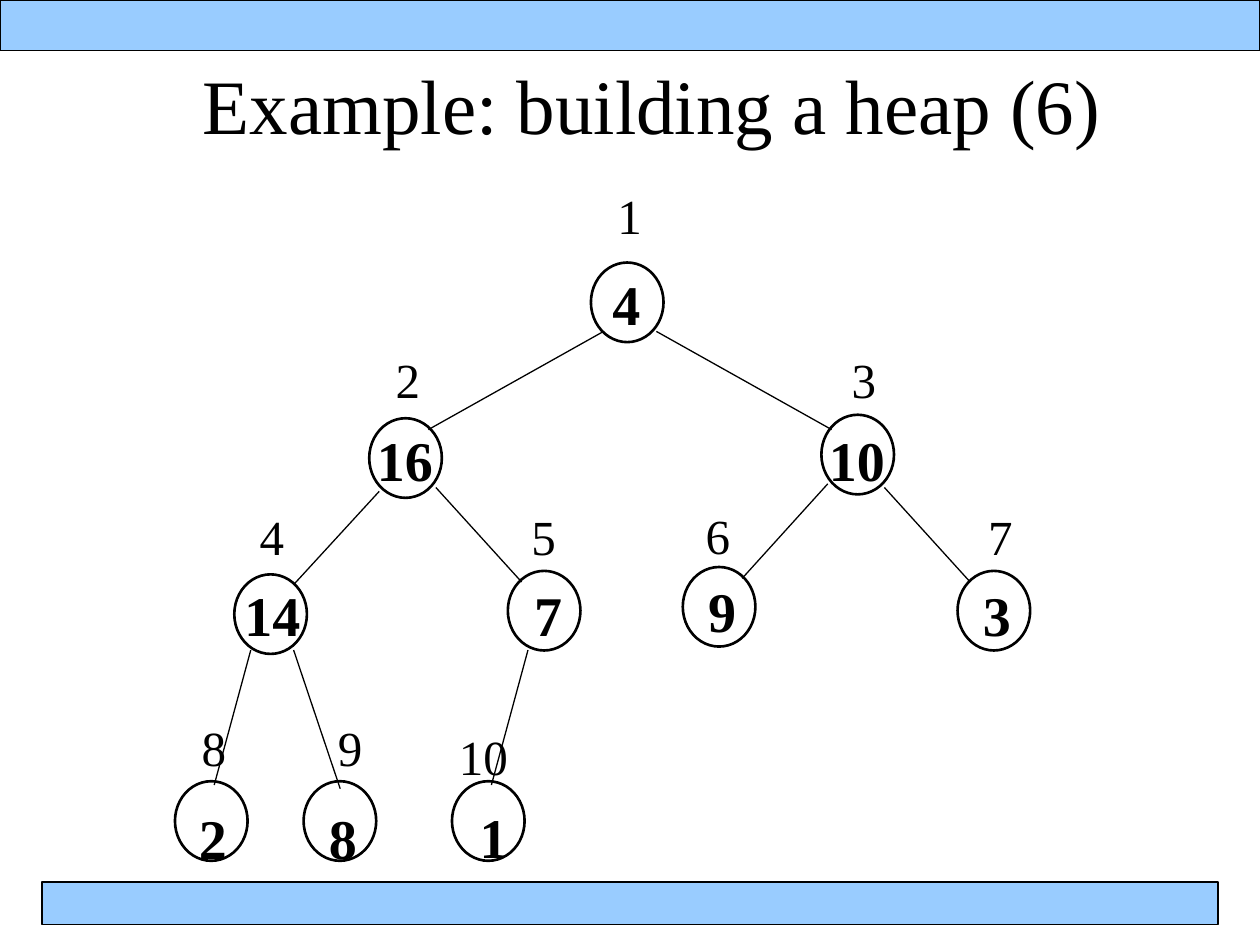
"""Build a slide that shows one step of building a heap."""
from typing import NamedTuple

from lxml import etree
from pptx import Presentation
from pptx.dml.color import RGBColor
from pptx.enum.shapes import MSO_CONNECTOR, MSO_SHAPE
from pptx.enum.text import PP_ALIGN
from pptx.oxml.ns import qn
from pptx.util import Pt

OVAL, RECTANGLE = MSO_SHAPE.OVAL, MSO_SHAPE.RECTANGLE
STRAIGHT = MSO_CONNECTOR.STRAIGHT
LEFT, RIGHT = PP_ALIGN.LEFT, PP_ALIGN.RIGHT

BLACK, BAND_BLUE = "000000", "99CCFF"
NODE_SIZE = (41.5, 45.5)
TITLE_FONT = {"name": "Times New Roman", "size": Pt(44), "bold": False}
INDEX_FONT = {"name": "Times New Roman", "size": Pt(28), "bold": False}
KEY_FONT = {"name": "Times New Roman", "size": Pt(32), "bold": True}


class Node(NamedTuple):
    """A heap node: its circle, its label box and the label spacing."""
    index: str
    key: str
    circle: tuple
    label: tuple
    indents: tuple
    inset: float
    gap: float
    spacing: float = 1.0
    align: int = LEFT


NODES = [
    Node("1", "4", (337.7, 150), (349.2, 92.2, 18.7, 101), (3.6, 0.7), 13.7, 14.3),
    Node("2", "16", (211, 239), (214.6, 189.4, 33.8, 93), (11.5, 0.7), 10.1, 10.1),
    Node("3", "10", (469.4, 237), (473, 189.4, 33.8, 93), (13.7, 0.7), 10.1, 10.1),
    Node("4", "14", (133.9, 328.2), (139, 280, 33.8, 91.4), (9.4, 0.7), 9.2, 9.2),
    Node("5", "7", (290.2, 326.2), (303, 280, 18.7, 91.4), (0.7, 2.2), 9.2, 9.2),
    Node("6", "9", (390.2, 324), (402.5, 281.5, 19.4, 87.8), (0.7, 2.2), 7.2, 7.2),
    Node("7", "3", (547.2, 326.2), (561, 280, 18.7, 91.4), (3.6, 0.7), 9.2, 9.2),
    Node("8", "2", (100, 446.4), (113, 405.4, 18, 87), (2.2, 0.7), 0, 15.5, 1.13),
    Node("9", "8", (173.5, 446.4), (187.2, 405.4, 21, 87), (5.8, 0.7), 0, 15.5, 1.13),
    Node("10", "1", (258.3, 446.4), (252.7, 411, 37.4, 80.6), (0, 0), 0, 9.5, 1.13, RIGHT),
]

EDGES = [
    (344.9, 189.4, 244.8, 245.5), (375.1, 189.4, 475.2, 245.5),
    (216.7, 280.8, 167.8, 334.1), (249.1, 278.6, 298.1, 332.6),
    (473, 276.5, 424.1, 330.5), (505.4, 278.6, 554.4, 332.6),
    (143.3, 371.5, 122.4, 448.6), (167.8, 371.5, 194.4, 450.7),
    (301.7, 371.5, 280.8, 448.6),
]


def color(hex_value):
    """Turn a hex string into a colour."""
    return RGBColor.from_string(hex_value)


def set_line(outlined, width):
    """Give a shape or connector a black line."""
    outlined.line.color.rgb = color(BLACK)
    outlined.line.width = Pt(width)


def add_outline(slide, preset, box, width, fill=None):
    """Add an outlined preset shape, filled if a colour is given."""
    outline = slide.shapes.add_shape(preset, *map(Pt, box))
    outline.shadow.inherit = False
    if fill:
        outline.fill.solid()
        outline.fill.fore_color.rgb = color(fill)
    else:
        outline.fill.background()
    set_line(outline, width)


def add_edge(slide, ends):
    """Join a parent node to its child."""
    edge = slide.shapes.add_connector(STRAIGHT, *map(Pt, ends))
    set_line(edge, 0.75)
    etree.SubElement(edge._element.spPr, qn("a:effectLst"))


def add_frame(slide, box, inset_top):
    """Add a text box with only a top inset and return its text frame."""
    frame = slide.shapes.add_textbox(*map(Pt, box)).text_frame
    margins = {"margin_left": 0, "margin_right": 0, "margin_bottom": 0,
               "margin_top": Pt(inset_top), "word_wrap": True}
    for name, value in margins.items():
        setattr(frame, name, value)
    return frame


def write(paragraph, text, font, indent=0, **formats):
    """Fill a paragraph with one formatted run."""
    paragraph._p.get_or_add_pPr().set("marL", str(Pt(indent)))
    for name, value in formats.items():
        setattr(paragraph, name, value)
    run = paragraph.add_run()
    run.text = text
    for name, value in font.items():
        setattr(run.font, name, value)
    run.font.color.rgb = color(BLACK)


def add_label(slide, node):
    """Write the array index above the key of a node."""
    frame = add_frame(slide, node.label, node.inset)
    index_indent, key_indent = node.indents
    write(frame.paragraphs[0], node.index, INDEX_FONT, index_indent,
          alignment=node.align, line_spacing=node.spacing)
    write(frame.add_paragraph(), node.key, KEY_FONT, key_indent,
          alignment=node.align, space_before=Pt(node.gap))


def main():
    """Build and save the slide."""
    deck = Presentation()
    deck.slide_width, deck.slide_height = Pt(720), Pt(540)
    slide = deck.slides.add_slide(deck.slide_layouts[6])
    for band in [(24, 504, 672, 24.5), (0, 0, 720, 28.8)]:
        add_outline(slide, RECTANGLE, band, 0.75, BAND_BLUE)
    title = add_frame(slide, (115.2, 32.4, 515.5, 54.7), 0.7)
    write(title.paragraphs[0], "Example: building a heap (6)", TITLE_FONT, 0.7)
    for node in NODES:
        add_outline(slide, OVAL, node.circle + NODE_SIZE, 1.5)
    for ends in EDGES:
        add_edge(slide, ends)
    for node in NODES:
        add_label(slide, node)
    deck.save("out.pptx")


if __name__ == "__main__":
    main()
